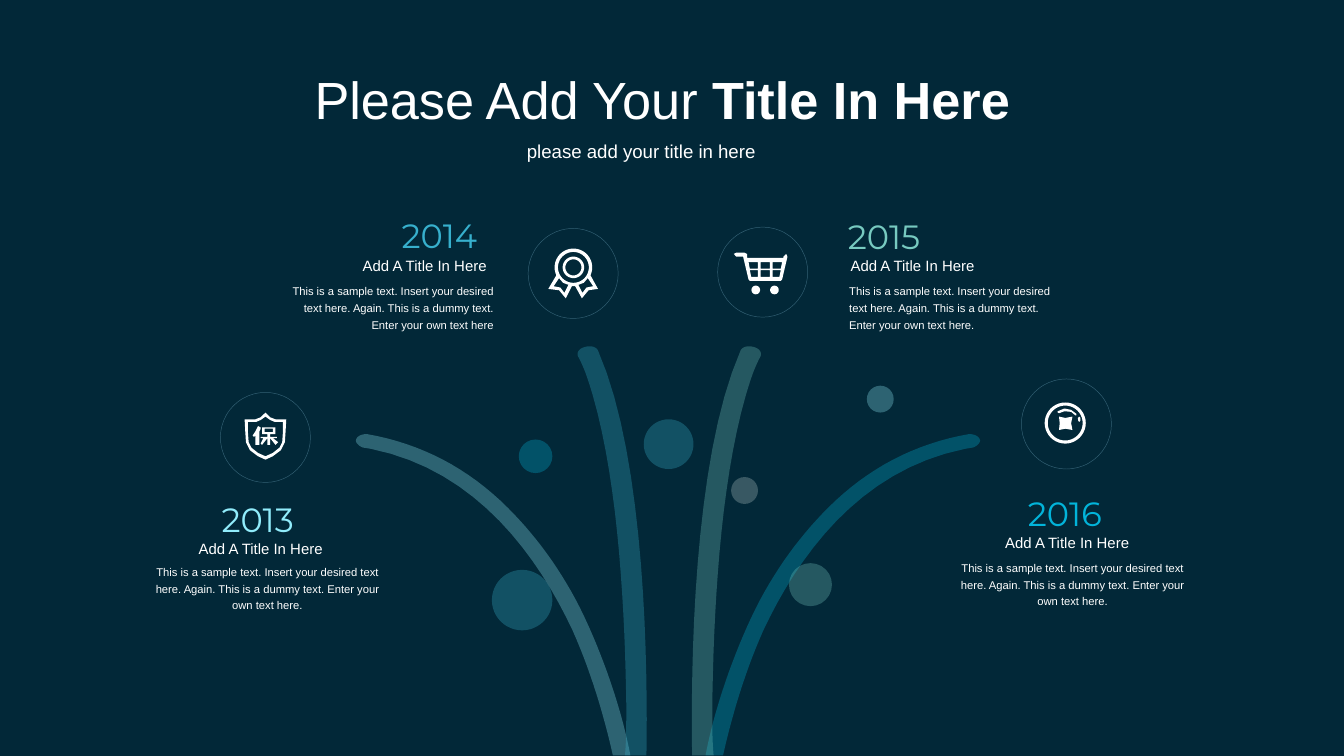
import math

from lxml import etree
from pptx import Presentation
from pptx import util as u
from pptx.dml.color import RGBColor
from pptx.enum import shapes, text
from pptx.oxml.ns import qn

COLORS = {
    "background": "022838", "white": "FFFFFF", "outline": "A4E2FE", "muted": "385863",
    "ice": "91ECFB", "blue": "37B0CD", "green": "77CAC0", "cyan": "02B4DA",
}
LEFT, CENTER, RIGHT = text.PP_ALIGN.LEFT, text.PP_ALIGN.CENTER, text.PP_ALIGN.RIGHT
BADGE_SIZE = 0.67


def set_color(fill, color, alpha=100):
    fill.solid()
    fill.fore_color.rgb = RGBColor.from_string(COLORS[color])
    if alpha < 100:
        for node in fill._xPr.iter(qn("a:srgbClr")):
            etree.SubElement(node, qn("a:alpha"), val=str(alpha * 1000))


def write(shape, content, size, color="white", font="Arial", align=LEFT,
          spacing=None, wrap=True, bold_tail=""):
    frame = shape.text_frame
    frame.word_wrap = wrap
    frame.auto_size = text.MSO_AUTO_SIZE.SHAPE_TO_FIT_TEXT
    frame.vertical_anchor = text.MSO_ANCHOR.TOP
    paragraph = frame.paragraphs[0]
    paragraph.alignment = align
    paragraph.space_before = u.Pt(0)
    if spacing:
        paragraph.line_spacing = u.Pt(spacing)
    for part, bold in ((content, False), (bold_tail, True)):
        if part:
            run = paragraph.add_run()
            run.text = part
            run.font.size = u.Pt(size)
            run.font.name = font
            run.font.bold = bold
            run.font.color.rgb = RGBColor.from_string(COLORS[color])


def add_text(slide, box, content, size, **style):
    write(slide.shapes.add_textbox(*map(u.Inches, box)), content, size, **style)


def add_circle(slide, left, top, size):
    shape = slide.shapes.add_shape(shapes.MSO_SHAPE.OVAL, *map(u.Inches, (left, top, size, size)))
    shape.shadow.inherit = False
    return shape


def add_outline(slide, contours, color, alpha=100):
    rings = [[(u.Inches(x), u.Inches(y)) for x, y in contour] for contour in contours]
    builder = slide.shapes.build_freeform(*rings[0][0])
    builder.add_line_segments(rings[0][1:])
    for ring in rings[1:]:
        builder.move_to(*ring[0])
        builder.add_line_segments(ring[1:])
    shape = builder.convert_to_shape()
    shape.shadow.inherit = False
    set_color(shape.fill, color, alpha)
    shape.line.fill.background()


# Outline geometry
def arc(x, y, radius, start=0, end=360, steps=40):
    angles = [math.radians(start + (end - start) * i / steps) for i in range(steps + 1)]
    return [(x + radius * math.cos(a), y + radius * math.sin(a)) for a in angles]


def mirror(points, axis):
    return [(2 * axis - x, y) for x, y in points]


def symmetric(half, axis):
    return half + mirror(half, axis)[::-1]


def curve(start, segments, steps=16):
    points = [start]
    for segment in segments:
        if len(segment) == 2:
            points.append(segment)
            continue
        controls = (points[-1], *zip(segment[::2], segment[1::2]))
        for i in range(1, steps + 1):
            t = i / steps
            weights = ((1 - t) ** 3, 3 * t * (1 - t) ** 2, 3 * t * t * (1 - t), t ** 3)
            points.append(tuple(sum(w * p[k] for w, p in zip(weights, controls)) for k in (0, 1)))
    return points


# Icons, in hundredths of an inch from the badge corner
SHIELD = [
    symmetric([(33.5, 15), (30, 18.5), (26, 20), (18, 20), (18.5, 29), (19, 37),
               (22, 43), (28, 47.5), (33.5, 50)], 33.5),
    symmetric([(33.5, 18), (30, 20.5), (26.5, 22), (20.5, 22), (20.5, 30), (21, 37),
               (23, 41), (28, 45), (33.5, 47.5)], 33.5),
    [(30, 26), (28, 25), (26, 29), (24, 32), (25, 33), (26, 32), (26, 39), (29, 39),
     (29, 29), (30, 27)],
    [(31, 26), (41, 26), (41, 31), (37, 31), (37, 33), (42, 33), (42, 34), (39, 34),
     (43, 37), (41, 39), (37, 34), (37, 39), (35, 39), (35, 34), (31, 39), (30, 38),
     (32, 34), (30, 34), (30, 33), (35, 33), (35, 31), (31, 31)],
    [(33, 27), (39, 27), (39, 29.5), (33, 29.5)],
]
RIBBON_HOLE = [(27, 48), (24, 44), (19, 43), (23, 37), (26, 40.5), (30, 42)]
MEDAL = [
    arc(33.7, 29, 14, 155, 385) + [(52, 45), (45, 46), (40, 52), (35, 43), (32.5, 43),
                                   (28, 52), (23, 46), (15, 45)],
    arc(33.7, 29, 11.5), arc(33.7, 29, 8), arc(33.7, 29, 6),
    RIBBON_HOLE, mirror(RIBBON_HOLE, 33.7),
]
CART_CELLS = [[(23, 26), (30, 26), (30, 31), (24, 31)], [(24, 32), (30, 32), (30, 37), (25, 37)]]
CART = [
    [(51, 20), (49, 22), (49, 23), (22, 23), (22, 20), (20, 19), (14, 19), (12, 20),
     (14, 22), (19, 22), (23, 39), (24, 40), (47, 40), (48, 39), (52, 22)],
    *CART_CELLS, *[mirror(cell, 35.5) for cell in CART_CELLS],
    *[[(32, y), (39, y), (39, y + 5), (32, y + 5)] for y in (26, 32)],
    arc(28.4, 46.8, 3.2), arc(42.3, 46.8, 3.2),
]
COIN = [
    arc(32.6, 32.8, 15.3), arc(32.6, 32.8, 13),
    [(27, 24), (32, 22), (37, 23), (41, 26), (41, 27), (40, 27), (37, 24.5), (32, 24),
     (28, 25.5), (27, 25)],
    [(42, 29), (43, 28), (44, 29), (44, 31), (43, 32), (42.3, 31)],
    [(28, 28), (32.7, 29), (38, 28), (37, 33), (38, 38), (32.7, 37), (28, 38), (28.5, 33)],
]

# Branches on the left; the right ones are their mirror images
OUTER_BRANCH = curve((4.38, 4.66), [
    (4.22, 4.3, 4.01, 4.01, 3.78, 3.78), (3.48, 3.48, 3.13, 3.3, 2.73, 3.23),
    (2.7, 3.23, 2.66, 3.24, 2.65, 3.27), (2.64, 3.29, 2.67, 3.32, 2.7, 3.33),
    (2.76, 3.34), (3.56, 3.5, 4.01, 4.16, 4.26, 4.69),
    (4.42, 5.05, 4.51, 5.4, 4.56, 5.62), (4.69, 5.62), (4.65, 5.4, 4.55, 5.04, 4.38, 4.66)])
INNER_BRANCH = curve((4.45, 2.61), [
    (4.44, 2.58, 4.39, 2.57, 4.36, 2.58), (4.31, 2.59, 4.29, 2.62, 4.3, 2.65),
    (4.35, 2.74, 4.38, 2.84, 4.41, 2.94), (4.61, 3.63, 4.65, 4.61, 4.66, 5.24),
    (4.66, 5.39, 4.66, 5.52, 4.65, 5.62), (4.81, 5.62),
    (4.82, 5.01, 4.81, 3.43, 4.45, 2.61)])
OUTER_AXIS, INNER_AXIS = 4.97, 4.98

BUBBLES = [
    (3.66, 4.24, 0.45, "blue", 30), (5.44, 3.55, 0.2, "muted", 100),
    (4.79, 3.12, 0.37, "blue", 30), (5.87, 4.19, 0.32, "green", 30),
    (6.45, 2.87, 0.2, "ice", 30), (3.86, 3.27, 0.25, "cyan", 30),
]

SAMPLE = ("This is a sample text. Insert your desired text here. Again. "
          "This is a dummy text. Enter your own text here")
# Year, colour, icon, corner of badge and year, left, top and width of heading and body, body, alignment
MILESTONES = [
    ("2013", "ice", SHIELD, (1.64, 2.92), (1.55, 3.66), (1.38, 3.93, 1.15),
     (1.01, 4.13, 1.96), SAMPLE + ".", CENTER),
    ("2016", "cyan", COIN, (7.6, 2.82), (7.55, 3.62), (7.38, 3.89, 1.15),
     (6.97, 4.1, 2.02), SAMPLE + ".", CENTER),
    ("2014", "blue", MEDAL, (3.93, 1.7), (2.89, 1.55), (2.6, 1.83, 1.19),
     (1.95, 2.04, 1.82), SAMPLE, RIGHT),
    ("2015", "green", CART, (5.34, 1.69), (6.21, 1.56), (6.23, 1.83, 1.19),
     (6.22, 2.04, 1.81), SAMPLE + ".", LEFT),
]


def add_heading(slide):
    title, subtitle = slide.placeholders
    for shape, box in ((title, (2.24, 0.45, 5.44, 0.57)), (subtitle, (3.82, 0.99, 1.91, 0.27))):
        shape.left, shape.top, shape.width, shape.height = map(u.Inches, box)
    write(title, "Please Add Your ", 28, wrap=False, bold_tail="Title In Here")
    write(subtitle, "please add your title in here", 10, wrap=False)


def add_tree(slide):
    add_outline(slide, [OUTER_BRANCH], "ice", 30)
    add_outline(slide, [mirror(OUTER_BRANCH, OUTER_AXIS)], "cyan", 30)
    add_outline(slide, [INNER_BRANCH], "blue", 30)
    add_outline(slide, [mirror(INNER_BRANCH, INNER_AXIS)], "green", 30)


def add_badge(slide, left, top, icon):
    ring = add_circle(slide, left, top, BADGE_SIZE)
    ring.fill.background()
    ring.line.width = u.Pt(0.25)
    set_color(ring.line.fill, "outline", 30)
    add_outline(slide, [[(left + x / 100, top + y / 100) for x, y in contour]
                        for contour in icon], "white")


def add_milestone(slide, year, color, icon, badge, corner, heading_span, body_span, body, align):
    add_badge(slide, *badge, icon)
    add_text(slide, (*corner, 0.88, 0.4), year, 18, color=color, font="Montserrat", wrap=False)
    add_text(slide, (*body_span, 0.48), body, 6, align=align, spacing=9)
    add_text(slide, (*heading_span, 0.25), "Add A Title In Here", 8, spacing=12)


def add_bubbles(slide):
    for left, top, size, color, alpha in BUBBLES:
        bubble = add_circle(slide, left, top, size)
        set_color(bubble.fill, color, alpha)
        bubble.line.fill.background()


def main():
    presentation = Presentation()
    presentation.slide_width = u.Inches(10)
    presentation.slide_height = presentation.slide_width * 9 // 16
    slide = presentation.slides.add_slide(presentation.slide_layouts[0])
    set_color(slide.background.fill, "background")
    add_heading(slide)
    add_tree(slide)
    for milestone in MILESTONES:
        add_milestone(slide, *milestone)
    add_bubbles(slide)
    presentation.save("out.pptx")


if __name__ == "__main__":
    main()
